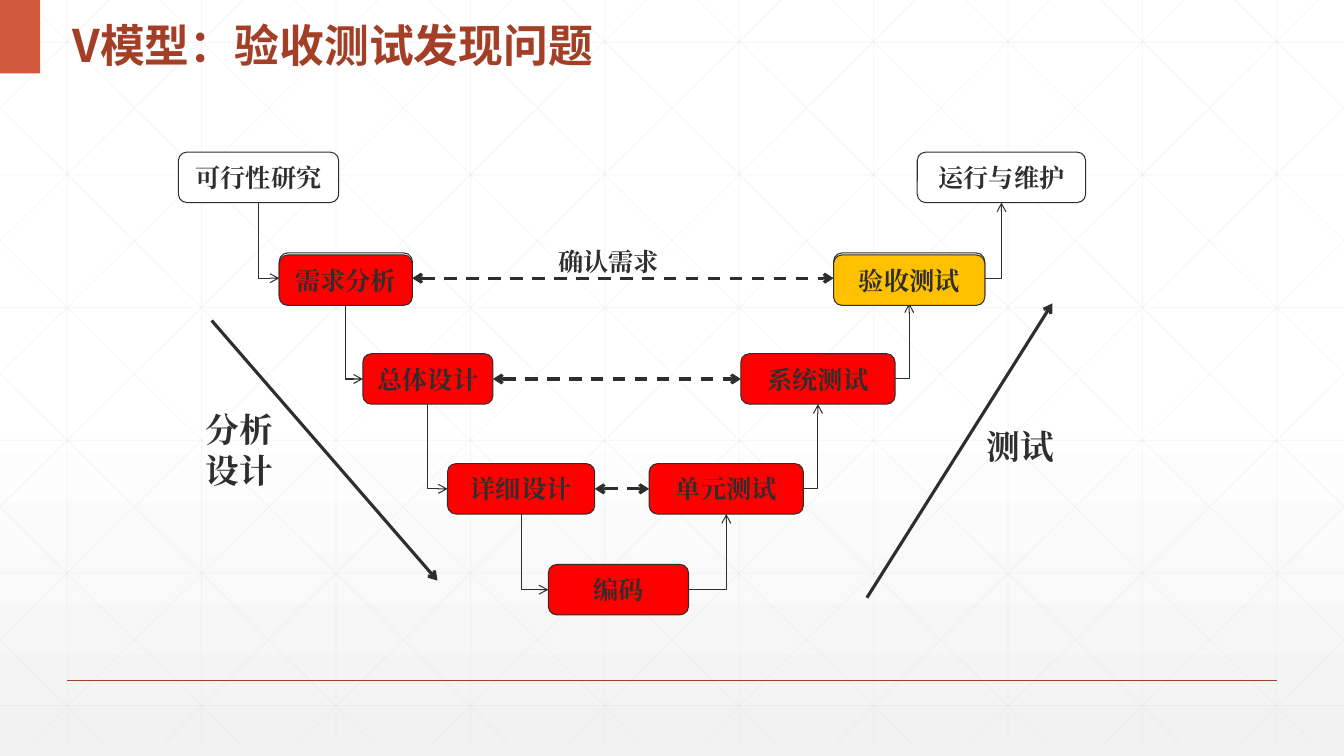
from lxml.etree import SubElement
from pptx import Presentation
from pptx.dml.color import RGBColor
from pptx.enum.dml import MSO_LINE_DASH_STYLE as Dash
from pptx.enum.shapes import MSO_CONNECTOR as Link, MSO_SHAPE as Form
from pptx.enum.text import MSO_ANCHOR as Anchor, PP_ALIGN as Align
from pptx.oxml.ns import qn
from pptx.util import Inches, Pt

COLORS = {"ink": "2D2E2D", "title": "A43F27", "tab": "D15A3E", "grid": "D9D9D9",
          "white": "FFFFFF", "mist": "F2F2F2", "red": "FF0000", "amber": "FFC000"}
COLUMNS, ROWS = 133.33, 75
SERIF, SANS = "Times New Roman", "Noto Sans CJK SC"
LEFT, RIGHT = 1, 3


class SlideBuilder:
    """Draws styled elements on one slide, measured in columns and rows of a tenth of an inch."""

    def __init__(self):
        self.deck = Presentation()
        self.deck.slide_width, self.deck.slide_height = self.cells(COLUMNS, ROWS)
        self.page = self.deck.slides.add_slide(self.deck.slide_layouts[6])
        self.shapes = self.page.shapes

    def cells(self, *counts):
        return [Inches(round(count / 10, 3)) for count in counts]

    def color(self, name):
        return RGBColor.from_string(COLORS[name])

    def background(self, stops, angle):
        fill = self.page.background.fill
        fill.gradient()
        fill.gradient_angle = angle
        for stop, (name, position) in zip(fill.gradient_stops, stops):
            stop.color.rgb = self.color(name)
            stop.position = position

    def fill_text(self, box, lines, size=18, font=SERIF, color="ink",
                  align=Align.LEFT, anchor=Anchor.TOP, spacing=None):
        frame = box.text_frame
        frame.word_wrap = True
        frame.vertical_anchor = anchor
        for index, line in enumerate(lines):
            para = frame.add_paragraph() if index else frame.paragraphs[0]
            para.alignment = align
            para.line_spacing = spacing
            span = para.add_run()
            span.text = line
            for key, value in {"size": Pt(size), "bold": True, "name": font}.items():
                setattr(span.font, key, value)
            span.font.color.rgb = self.color(color)
            SubElement(span.font._element, qn("a:ea")).set("typeface", font)

    def label(self, place, lines, **style):
        self.fill_text(self.shapes.add_textbox(*self.cells(*place)), lines, **style)

    def block(self, place, fill, form=Form.RECTANGLE, outline=None):
        box = self.shapes.add_shape(form, *self.cells(*place))
        box.shadow.inherit = False
        box.fill.solid()
        box.fill.fore_color.rgb = self.color(fill)
        if outline:
            box.line.color.rgb = self.color(outline)
            box.line.width = Pt(0.75)
        else:
            box.line.fill.background()
        return box

    def stage(self, place, fill, text=None):
        box = self.block(place, fill, Form.ROUNDED_RECTANGLE, "ink")
        if text:
            self.fill_text(box, [text], align=Align.CENTER, anchor=Anchor.MIDDLE)
        return box

    def ink(self, link, color="ink", width=0.75, dash=None, alpha=None, ends=()):
        link.line.color.rgb = self.color(color)
        link.line.width = Pt(width)
        if dash:
            link.line.dash_style = dash
        outline = link.element.spPr.find(qn("a:ln"))
        if alpha:
            tone = outline.find(qn("a:solidFill"))[0]
            SubElement(tone, qn("a:alpha")).set("val", str(alpha * 1000))
        for end in ends:
            SubElement(outline, qn(f"a:{end}")).set("type", "arrow")
        SubElement(link.element.spPr, qn("a:effectLst"))

    def line(self, *ends_at, **style):
        self.ink(self.shapes.add_connector(Link.STRAIGHT, *self.cells(*ends_at)), **style)

    def join(self, first, second, **style):
        link = self.shapes.add_connector(Link.STRAIGHT, 0, 0, 0, 0)
        link.begin_connect(first, RIGHT)
        link.end_connect(second, LEFT)
        self.ink(link, **style)

    def elbow(self, upper, lower, descending):
        foot = upper.left + upper.width // 2, upper.top + upper.height
        side = lower.left + (0 if descending else lower.width), lower.top + lower.height // 2
        start, stop = (foot, side) if descending else (side, foot)
        link = self.shapes.add_connector(Link.ELBOW, *start, *stop)
        link.element.spPr.find(qn("a:prstGeom")).set("prst", "bentConnector2")
        if descending:
            width, height = link.width, link.height
            turned = {"left": link.left + (width - height) // 2,
                      "top": link.top + (height - width) // 2,
                      "width": height, "height": width}
            for key, value in turned.items():
                setattr(link, key, value)
            frame = link.element.spPr.find(qn("a:xfrm"))
            frame.set("rot", "16200000")
            frame.set("flipH", "1")
        self.ink(link, ends=["tailEnd"])

    def lattice(self):
        faint = {"color": "grid", "width": 0.5, "alpha": 25}
        step, floor, run = 40 / 3, 73.7, 74.5
        for column in range(10):
            x = (column + 0.5) * step
            self.line(x, 0, x, floor, **faint)
        for row in range(6):
            y = 4.2 + row * 13.16
            self.line(0, y, COLUMNS, y, **faint)
        for index in range(-5, 10):
            origin = 2.5 + index * step
            x1, x2 = max(origin, 0), min(origin + run, COLUMNS)
            y1, y2 = [(x - origin) * floor / run for x in (x1, x2)]
            self.line(x1, y1, x2, y2, **faint)
            self.line(COLUMNS - x1, y1, COLUMNS - x2, y2, **faint)


def main():
    slide = SlideBuilder()
    slide.background([("white", 0.53), ("mist", 1)], 270)
    slide.lattice()
    slide.line(6.67, 67.5, 126.67, 67.5, color="title", width=1)
    slide.block((0, 0, 4, 7.3), "tab")
    slide.label((6.2, 0, 85, 7.3), ["V模型：验收测试发现问题"], size=32, font=SANS,
                color="title", anchor=Anchor.MIDDLE, spacing=1.3)

    tops, height = [15.1, 25.1, 35.1, 46, 56], 5
    descent = [("可行性研究", 17.7, 15.9, "white"), ("需求分析", 27.7, 13.2, "red"),
               ("总体设计", 36, 12.9, "red"), ("详细设计", 44.4, 14.6, "red"),
               ("编码", 54.4, 13.9, "red")]
    ascent = [("运行与维护", 91, 16.7, "white"), ("验收测试", 82.7, 15, "amber"),
              ("系统测试", 73.5, 15.3, "red"), ("单元测试", 64.4, 15.3, "red")]
    covers, arms = [], []
    for arm in (descent, ascent):
        boxes = []
        for row, (text, left, width, fill) in enumerate(arm):
            place = left, tops[row], width, height
            if row == 1:
                boxes.append(slide.stage(place, "white"))
                covers.append(((left, tops[row] + 0.2, width, height), fill, text))
            else:
                boxes.append(slide.stage(place, fill, text))
        arms.append(boxes)
    down, up = arms
    up.append(down[-1])

    for boxes, descending in ((down, True), (up, False)):
        for upper, lower in zip(boxes, boxes[1:]):
            slide.elbow(upper, lower, descending)
    for first, second in zip(down[1:4], up[1:4]):
        slide.join(first, second, width=2.25, dash=Dash.DASH, ends=["headEnd", "tailEnd"])
    for cover in covers:
        slide.stage(*cover)
    for course in ((21, 31.8, 43.4, 57.6), (86, 59.3, 104.4, 30.1)):
        slide.line(*course, width=2.25, ends=["tailEnd"])

    slide.label((19.4, 40.1, 12.5, 10.8), ["分析", "设计"], size=24)
    slide.label((96.9, 41.8, 10, 6.7), ["测试"], size=24)
    slide.label((54.4, 23.9, 13.3, 3.8), ["确认需求"])
    slide.deck.save("out.pptx")


if __name__ == "__main__":
    main()
